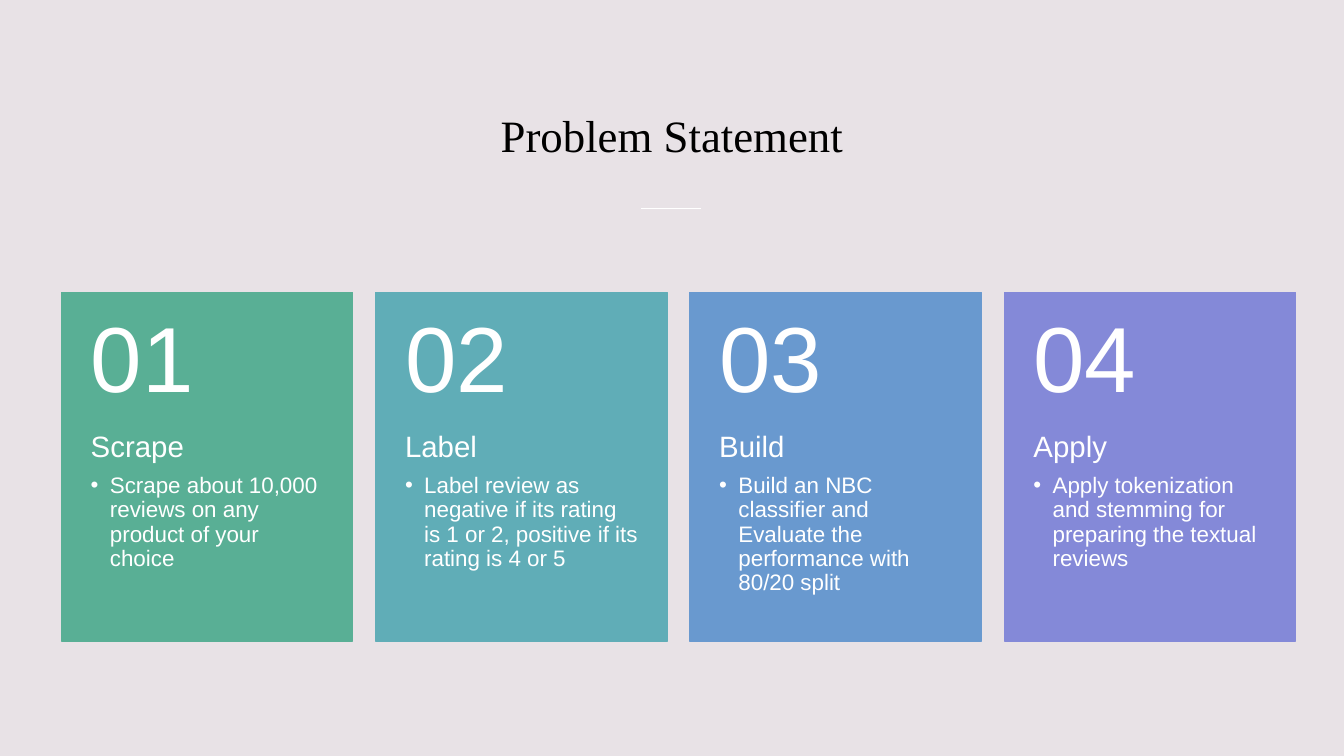
from dataclasses import dataclass

from lxml.etree import SubElement
from pptx import Presentation
from pptx.dml.color import RGBColor
from pptx.enum.shapes import MSO_CONNECTOR, MSO_SHAPE
from pptx.enum.text import MSO_ANCHOR as Anchor, PP_ALIGN as Align
from pptx.oxml.ns import qn
from pptx.slide import Slide
from pptx.text.text import TextFrame, _Paragraph as Paragraph
from pptx.util import Inches, Pt

BACKGROUND = RGBColor(0xE8, 0xE2, 0xE6)
BLACK = RGBColor(0x00, 0x00, 0x00)
WHITE = RGBColor(0xFF, 0xFF, 0xFF)
GREEN = RGBColor(0x59, 0xAF, 0x95)
TEAL = RGBColor(0x60, 0xAD, 0xB7)
BLUE = RGBColor(0x69, 0x99, 0xCF)
VIOLET = RGBColor(0x84, 0x89, 0xD8)

# Card layout in inches
CARDS_LEFT, CARDS_RIGHT, CARDS_TOP = 0.61, 12.85, 2.9
CARD_WIDTH, CARD_HEIGHT, NUMBER_HEIGHT = 2.89, 3.46, 1.39
SIDE_INSET = 0.29
BULLET_INDENT = 0.19


@dataclass(frozen=True)
class Step:
    heading: str
    detail: str
    color: RGBColor


STEPS = [
    Step("Scrape", "Scrape about 10,000 reviews on any product of your choice", GREEN),
    Step("Label", "Label review as negative if its rating is 1 or 2, "
         "positive if its rating is 4 or 5", TEAL),
    Step("Build", "Build an NBC classifier and Evaluate the performance "
         "with 80/20 split", BLUE),
    Step("Apply", "Apply tokenization and stemming for preparing the textual "
         "reviews", VIOLET),
]


def add_text_area(slide: Slide, left: float, top: float, width: float,
                  height: float, anchor: Anchor) -> TextFrame:
    box = slide.shapes.add_textbox(Inches(left), Inches(top),
                                   Inches(width), Inches(height))
    frame = box.text_frame
    frame.word_wrap = True
    frame.vertical_anchor = anchor
    return frame


def set_insets(frame: TextFrame, top: float, bottom: float) -> None:
    frame.margin_left = frame.margin_right = Inches(SIDE_INSET)
    frame.margin_top, frame.margin_bottom = Inches(top), Inches(bottom)


def write(paragraph: Paragraph, text: str, size: float,
          color: RGBColor = WHITE, font: str = "Arial") -> None:
    run = paragraph.add_run()
    run.text = text
    run.font.size = Pt(size)
    run.font.name = font
    run.font.color.rgb = color


def write_card_line(paragraph: Paragraph, text: str, size: float,
                    after: float) -> None:
    paragraph.line_spacing = 0.9
    paragraph.space_after = Pt(round(size * after, 1))
    write(paragraph, text, size)


def add_bullet(paragraph: Paragraph) -> None:
    paragraph.level = 1
    properties = paragraph._p.get_or_add_pPr()
    properties.set("marL", str(Inches(BULLET_INDENT)))
    properties.set("indent", str(-Inches(BULLET_INDENT)))
    SubElement(properties, qn("a:buFont")).set("typeface", "Arial")
    SubElement(properties, qn("a:buChar")).set("char", "•")


def add_title(slide: Slide) -> None:
    title = add_text_area(slide, 1.08, 0.43, 11.17, 1.22, Anchor.BOTTOM)
    title.paragraphs[0].alignment = Align.CENTER
    write(title.paragraphs[0], "Problem Statement", 32, BLACK, "Times New Roman")

    divider = slide.shapes.add_connector(MSO_CONNECTOR.STRAIGHT, Inches(6.36),
                                         Inches(2.07), Inches(6.95), Inches(2.07))
    divider.line.color.rgb = WHITE
    divider.line.width = Pt(1)
    SubElement(divider._element.spPr, qn("a:effectLst"))


def add_card(slide: Slide, step: Step, number: int, left: float) -> None:
    # Coloured panel
    panel = slide.shapes.add_shape(MSO_SHAPE.RECTANGLE, Inches(left),
                                   Inches(CARDS_TOP), Inches(CARD_WIDTH),
                                   Inches(CARD_HEIGHT))
    panel.shadow.inherit = False
    panel.fill.solid()
    panel.fill.fore_color.rgb = step.color
    panel.line.color.rgb = step.color
    panel.line.width = Pt(0.75)

    # Heading and bullet
    body = add_text_area(slide, left, CARDS_TOP + NUMBER_HEIGHT, CARD_WIDTH,
                         CARD_HEIGHT - NUMBER_HEIGHT, Anchor.TOP)
    set_insets(body, 0, 0.36)
    write_card_line(body.paragraphs[0], step.heading, 21, 0.35)
    detail = body.add_paragraph()
    write_card_line(detail, step.detail, 16, 0.15)
    add_bullet(detail)

    # Step number
    numeral = add_text_area(slide, left, CARDS_TOP, CARD_WIDTH, NUMBER_HEIGHT,
                            Anchor.MIDDLE)
    set_insets(numeral, 0.18, 0.18)
    write_card_line(numeral.paragraphs[0], f"{number:02d}", 66, 0.35)


def main() -> None:
    deck = Presentation()
    deck.slide_width, deck.slide_height = Inches(13.33), Inches(7.5)
    slide = deck.slides.add_slide(deck.slide_layouts[6])
    slide.background.fill.solid()
    slide.background.fill.fore_color.rgb = BACKGROUND

    add_title(slide)
    pitch = (CARDS_RIGHT - CARDS_LEFT - CARD_WIDTH) / (len(STEPS) - 1)
    for index, step in enumerate(STEPS):
        add_card(slide, step, index + 1, CARDS_LEFT + index * pitch)

    deck.save("out.pptx")


if __name__ == "__main__":
    main()
